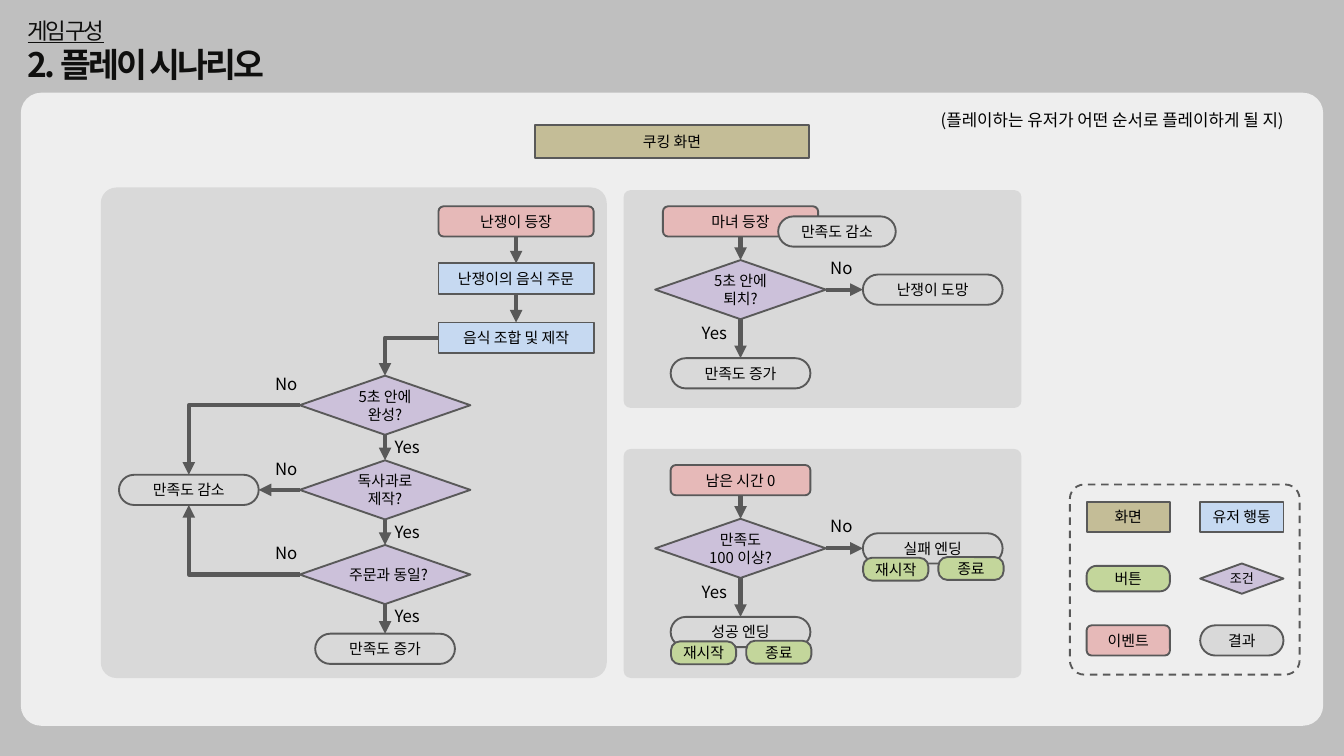
from lxml.etree import SubElement
from pptx import Presentation
from pptx.dml.color import RGBColor
from pptx.enum.dml import MSO_LINE
from pptx.enum.shapes import MSO_CONNECTOR as Link, MSO_SHAPE as Form
from pptx.enum.text import MSO_ANCHOR as Anchor, MSO_AUTO_SIZE as Fit, PP_ALIGN as Align
from pptx.oxml.ns import qn
from pptx.util import Inches, Pt

FONT = "Noto Sans CJK KR"
COLORS = {
    "back": "BFBFBF", "sheet": "EEEEEE", "panel": "D9D9D9", "edge": "595959",
    "title": "0F0F0E", "text": "000000", "screen": "C4BD97", "action": "C6D9F1",
    "check": "CCC1DA", "event": "E6B9B8", "result": "D9D9D9", "button": "C3D69B",
}
# kind: preset shape, corner rounding, width, height
KINDS = {
    "screen": (Form.RECTANGLE, None, 4.08, 0.49),
    "action": (Form.RECTANGLE, None, 2.31, 0.45),
    "check": (Form.DIAMOND, None, 2.54, 0.88),
    "event": (Form.ROUNDED_RECTANGLE, 0.17, 2.31, 0.45),
    "result": (Form.ROUNDED_RECTANGLE, 0.5, 2.08, 0.45),
    "button": (Form.ROUNDED_RECTANGLE, 0.39, 0.97, 0.34),
}
# Centre lines of the flow columns, and the step between the left checks
COL = {"drop": 2.81, "check": 5.73, "order": 7.68, "main": 11.02, "side": 13.88}
CHECK_TOP, CHECK_STEP = 6.03, 1.26
FLOW_TOP, FLOW_STEP = 3.295, 3.85
TOP, LEFT, BOTTOM, RIGHT = range(4)


def color(name):
    return RGBColor.from_string(COLORS[name])


def centred(x, y, width, height):
    return [Inches(v) for v in (x - width / 2, y - height / 2, width, height)]


def format_para(para, size, align=Align.CENTER, tint="text", **extra):
    para.alignment = align
    for span in para.runs:
        for name, value in {"size": Pt(size), "name": FONT, **extra}.items():
            setattr(span.font, name, value)
        span.font.color.rgb = color(tint)
        SubElement(span.font._element, qn("a:ea"), typeface=FONT)


def write(box, text, size):
    frame = box.text_frame
    frame.text = text
    frame.word_wrap = True
    for para in frame.paragraphs:
        format_para(para, size)
    return frame


def add_panel(page, left, top, width, height, fill="panel"):
    panel = page.shapes.add_shape(
        Form.ROUNDED_RECTANGLE, *map(Inches, (left, top, width, height)))
    panel.adjustments[0] = 0.032
    panel.fill.solid()
    panel.fill.fore_color.rgb = color(fill)
    panel.line.fill.background()
    panel.shadow.inherit = False


def add_node(shapes, kind, x, y, text, width=None, height=None, size=16):
    form, corner, usual_width, usual_height = KINDS[kind]
    node = shapes.add_shape(
        form, *centred(x, y, width or usual_width, height or usual_height))
    if corner:
        node.adjustments[0] = corner
    node.fill.solid()
    node.fill.fore_color.rgb = color(kind)
    node.line.color.rgb = color("edge")
    node.line.width = Pt(2)
    node.shadow.inherit = False
    write(node, text, size).vertical_anchor = Anchor.MIDDLE
    return node


def add_label(page, x, y, text, width=0.67):
    box = page.shapes.add_textbox(*centred(x, y, width, 0.4))
    frame = write(box, text, 18)
    frame.auto_size = Fit.SHAPE_TO_FIT_TEXT
    return frame


def add_arrow(page, start, end, leave=BOTTOM, enter=TOP, bent=False):
    arrow = page.shapes.add_connector(Link.ELBOW if bent else Link.STRAIGHT, 0, 0, 0, 0)
    arrow.begin_connect(start, leave)
    arrow.end_connect(end, enter)
    arrow.line.color.rgb = color("edge")
    arrow.line.width = Pt(4.5)
    SubElement(arrow.line._get_or_add_ln(), qn("a:tailEnd"), type="triangle")
    properties = arrow._element.spPr
    SubElement(properties, qn("a:effectLst"))
    if bent:  # a single corner
        properties.find(qn("a:prstGeom")).set("prst", "bentConnector2")


def add_title(page):
    title = page.shapes.title
    place = {"left": 0.31, "top": 0.2, "width": 6.27, "height": 1.11}
    for name, value in place.items():
        setattr(title, name, Inches(value))
    frame = title.text_frame
    frame.text = "게임 구성\n2. 플레이 시나리오"
    layout = {"vertical_anchor": Anchor.MIDDLE, "word_wrap": True,
              "auto_size": Fit.SHAPE_TO_FIT_TEXT}
    for name, value in layout.items():
        setattr(frame, name, value)
    looks = ({"size": 24, "underline": True}, {"size": 36, "bold": True})
    for para, look in zip(frame.paragraphs, looks):
        format_para(para, align=Align.LEFT, tint="title", **look)
        para.runs[0].font._element.set("spc", "-300")


def add_order_flow(page):
    shapes = page.shapes
    # Order steps
    steps = (("event", 3.295, "난쟁이 등장"), ("action", 4.145, "난쟁이의 음식 주문"),
             ("action", 5.025, "음식 조합 및 제작"))
    orders = [add_node(shapes, kind, COL["order"], y, text) for kind, y, text in steps]
    # Checks and their results
    checks = []
    for row, text in enumerate(("5초 안에\n완성?", "독사과로 제작?", "주문과 동일?")):
        y = CHECK_TOP + row * CHECK_STEP
        checks.append(add_node(shapes, "check", COL["check"], y, text))
        add_label(page, COL["check"] - 1.47, y - 0.32, "No")
        add_label(page, COL["check"] + 0.33, y + 0.62, "Yes")
    drop = add_node(shapes, "result", COL["drop"], CHECK_TOP + CHECK_STEP, "만족도 감소")
    rise = add_node(shapes, "result", COL["check"], 9.655, "만족도 증가")
    # Arrows
    for chain in (orders, checks + [rise]):
        for start, end in zip(chain, chain[1:]):
            add_arrow(page, start, end)
    add_arrow(page, orders[-1], checks[0], LEFT, TOP, bent=True)
    add_arrow(page, checks[0], drop, LEFT, TOP, bent=True)
    add_arrow(page, checks[1], drop, LEFT, RIGHT)
    add_arrow(page, checks[2], drop, LEFT, BOTTOM, bent=True)


def add_branch_flow(page, row, width, event, check, side, end):
    top = FLOW_TOP + row * FLOW_STEP
    middle, bottom = top + 1.015, top + 2.26
    main = COL["main"]
    chain = [add_node(page.shapes, "event", main, top, event, width),
             add_node(page.shapes, "check", main, middle, check),
             add_node(page.shapes, "result", main, bottom, end)]
    escape = add_node(page.shapes, "result", COL["side"], middle, side)
    for start, finish in zip(chain, chain[1:]):
        add_arrow(page, start, finish)
    add_arrow(page, chain[1], escape, RIGHT, LEFT)
    add_label(page, main + 1.5, middle - 0.33, "No")
    add_label(page, main - 0.39, middle + 0.64, "Yes")
    return chain[2], escape


def add_ending_buttons(page, ending):
    x = (ending.left + ending.width / 2) / Inches(1)
    y = (ending.top + ending.height / 2) / Inches(1)
    add_node(page.shapes, "button", x - 0.55, y + 0.31, "재시작")
    add_node(page.shapes, "button", x + 0.57, y + 0.3, "종료")


def add_legend(page):
    shapes = page.shapes.add_group_shape().shapes
    frame = shapes.add_shape(
        Form.ROUNDED_RECTANGLE, *map(Inches, (15.92, 7.21, 3.42, 2.83)))
    frame.adjustments[0] = 0.076
    frame.fill.background()
    frame.line.color.rgb = color("edge")
    frame.line.width = Pt(2)
    frame.line.dash_style = MSO_LINE.DASH
    frame.shadow.inherit = False
    entries = (("screen", "화면"), ("action", "유저 행동"), ("button", "버튼"),
               ("check", "조건"), ("event", "이벤트"), ("result", "결과"))
    for place, (kind, text) in enumerate(entries):
        row, column = divmod(place, 2)
        add_node(shapes, kind, 16.79 + 1.69 * column, 7.69 + 0.92 * row, text, 1.24,
                 0.38 if kind == "button" else 0.45, 14 if kind == "check" else 16)


def main():
    deck = Presentation()
    deck.slide_width, deck.slide_height = Inches(20), Inches(11.25)
    page = deck.slides.add_slide(deck.slide_layouts[5])
    page.background.fill.solid()
    page.background.fill.fore_color.rgb = color("back")

    # Panels and headings
    add_panel(page, 0.31, 1.38, 19.38, 9.42, "sheet")
    add_panel(page, 9.28, 6.68, 5.92, 3.41)
    add_panel(page, 9.28, 2.83, 5.92, 3.24)
    add_panel(page, 1.5, 2.79, 7.53, 7.3)
    add_title(page)
    add_node(page.shapes, "screen", 10, 2.105, "쿠킹 화면")
    note = add_label(page, 16.55, 1.78, "(플레이하는 유저가 어떤 순서로 플레이하게 될 지)", 5.94)
    note.word_wrap = False

    # Flows
    add_order_flow(page)
    add_branch_flow(page, 0, 2.31, "마녀 등장", "5초 안에\n퇴치?", "난쟁이 도망", "만족도 증가")
    endings = add_branch_flow(
        page, 1, 2.08, "남은 시간 0", "만족도\n100 이상?", "실패 엔딩", "성공 엔딩")
    for ending in endings:
        add_ending_buttons(page, ending)
    add_legend(page)
    add_node(page.shapes, "result", 12.455, 3.445, "만족도 감소", 1.75)
    deck.save("out.pptx")


if __name__ == "__main__":
    main()
